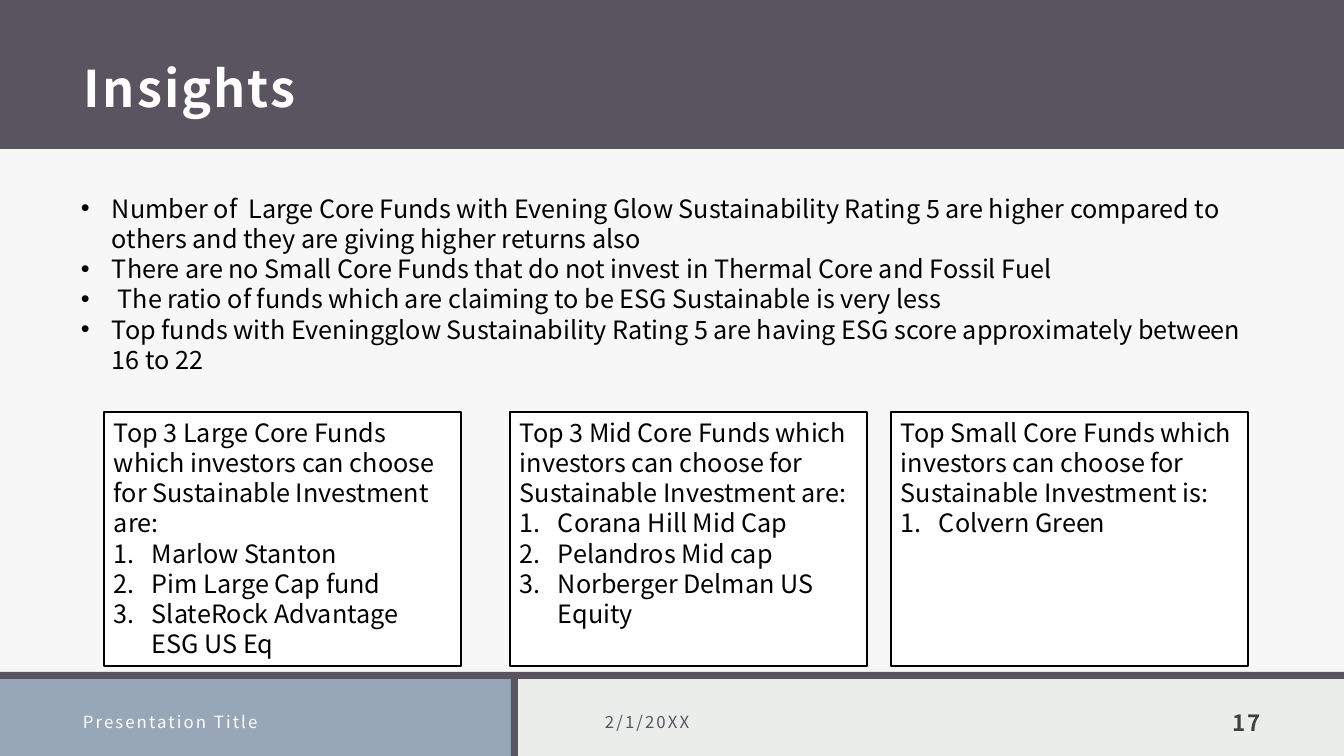
from lxml.etree import SubElement
from pptx import Presentation
from pptx.dml.color import RGBColor
from pptx.enum.shapes import MSO_SHAPE
from pptx.enum.text import MSO_ANCHOR, MSO_AUTO_SIZE, PP_ALIGN
from pptx.oxml.ns import qn
from pptx.util import Emu, Pt

EMU_PER_PX = 914400 / 100.8
FONT = "Noto Sans CJK JP"
SLATE, WHITE, BLACK = "595460", "FFFFFF", "000000"
BULLET = ("buChar", {"char": "•"})
NUMBER = ("buAutoNum", {"type": "arabicPeriod"})
hex_color = RGBColor.from_string


def px(*lengths):
    return [Emu(round(length * EMU_PER_PX)) for length in lengths]


def write(shape, lines, color, size=18, bold=False, tracking=0, spacing=1.0,
          align=PP_ALIGN.LEFT, anchor=MSO_ANCHOR.TOP, insets=(10, 5, 10, 5),
          marker=None, indent=0, first_item=0):
    """Fill a shape with paragraphs; those from first_item on get the marker."""
    frame = shape.text_frame
    left, top, right, bottom = px(*insets)
    frame_format = {
        "word_wrap": True, "auto_size": MSO_AUTO_SIZE.NONE,
        "vertical_anchor": anchor, "margin_left": left, "margin_top": top,
        "margin_right": right, "margin_bottom": bottom,
    }
    for name, value in frame_format.items():
        setattr(frame, name, value)
    frame.text = "\n".join(lines)

    paragraph_format = {"alignment": align, "line_spacing": spacing,
                        "space_before": Pt(0), "space_after": Pt(0)}
    font_format = {"name": FONT, "size": Pt(size), "bold": bold}
    elements = shape.element.iter(qn("a:p"))
    for index, (paragraph, element) in enumerate(zip(frame.paragraphs, elements)):
        for name, value in paragraph_format.items():
            setattr(paragraph, name, value)
        font = paragraph.runs[0].font
        for name, value in font_format.items():
            setattr(font, name, value)
        font.color.rgb = hex_color(color)
        if marker and index >= first_item:
            properties = element.get_or_add_pPr()
            properties.set("marL", str(px(indent)[0]))
            properties.set("indent", str(-px(indent)[0]))
            tag, attributes = marker
            SubElement(properties, qn("a:" + tag), attributes)
    for properties in shape.element.iter(qn("a:rPr")):
        properties.set("spc", str(round(tracking * 100)))


# Slide and background
presentation = Presentation()
presentation.slide_width, presentation.slide_height = px(1344, 756)
slide = presentation.slides.add_slide(presentation.slide_layouts[1])
slide.background.fill.solid()
slide.background.fill.fore_color.rgb = hex_color("EBEDEB")

# Bands: header, content panel, footer block, footer rule, footer divider
bands = [
    ((0, 0, 1344, 149), SLATE, 100),
    ((0, 149, 1344, 523), WHITE, 60),
    ((0, 673, 513, 83), "97A7B8", 100),
    ((0, 672, 1344, 7), SLATE, 100),
    ((511, 674, 7, 82), SLATE, 100),
]
for bounds, color, opacity in bands:
    band = slide.shapes.add_shape(MSO_SHAPE.RECTANGLE, *px(*bounds))
    band.shadow.inherit = False
    band.fill.solid()
    band.fill.fore_color.rgb = hex_color(color)
    band.line.fill.background()
    if opacity < 100:
        tint = next(band.element.iter(qn("a:srgbClr")))
        SubElement(tint, qn("a:alpha"), {"val": str(opacity * 1000)})

# Title and insights, raised above the bands
title, insights = slide.placeholders
for placeholder, bounds in ((title, (72, 20, 1202, 103)),
                            (insights, (71, 188, 1203, 224))):
    for name, value in zip(("left", "top", "width", "height"), px(*bounds)):
        setattr(placeholder, name, value)
    placeholder.element.getparent().append(placeholder.element)

label_format = {"tracking": 1.5, "anchor": MSO_ANCHOR.MIDDLE,
                "insets": (12, 12, 12, 10)}
write(title, ["Insights"], WHITE, size=36, bold=True, spacing=1.5, **label_format)
write(insights, [
    "Number of  Large Core Funds with Evening Glow Sustainability Rating 5 are "
    "higher compared to others and they are giving higher returns also",
    "There are no Small Core Funds that do not invest in Thermal Core and Fossil Fuel",
    " The ratio of funds which are claiming to be ESG Sustainable is very less",
    "Top funds with Eveningglow Sustainability Rating 5 are having ESG score "
    "approximately between 16 to 22",
], BLACK, marker=BULLET, indent=31)

# Fund boxes
fund_boxes = [
    (104, "Top 3 Large Core Funds which investors can choose for Sustainable Investment are:",
     ["Marlow Stanton", "Pim Large Cap fund", "SlateRock Advantage ESG US Eq"]),
    (510, "Top 3 Mid Core Funds which investors can choose for Sustainable Investment are:",
     ["Corana Hill Mid Cap", "Pelandros Mid cap", "Norberger Delman US Equity"]),
    (891, "Top Small Core Funds which investors can choose for Sustainable Investment is:",
     ["Colvern Green"]),
]
for left, heading, funds in fund_boxes:
    fund_box = slide.shapes.add_shape(MSO_SHAPE.RECTANGLE, *px(left, 412, 357, 254))
    fund_box.shadow.inherit = False
    fund_box.fill.solid()
    fund_box.fill.fore_color.rgb = hex_color(WHITE)
    fund_box.line.color.rgb = hex_color(BLACK)
    fund_box.line.width = Pt(1)
    write(fund_box, [heading, *funds], BLACK, marker=NUMBER, indent=38, first_item=1)

# Footer
footer = [
    ((71, 696, 377, 50), "Presentation Title", WHITE, {"size": 12}),
    ((593, 696, 376, 50), "2/1/20XX", SLATE, {"size": 12}),
    ((1165, 696, 108, 50), "17", "404040",
     {"size": 16, "bold": True, "align": PP_ALIGN.RIGHT, "anchor": MSO_ANCHOR.BOTTOM}),
]
for bounds, wording, color, extra in footer:
    label = slide.shapes.add_textbox(*px(*bounds))
    write(label, [wording], color, **{**label_format, **extra})

presentation.save("out.pptx")
